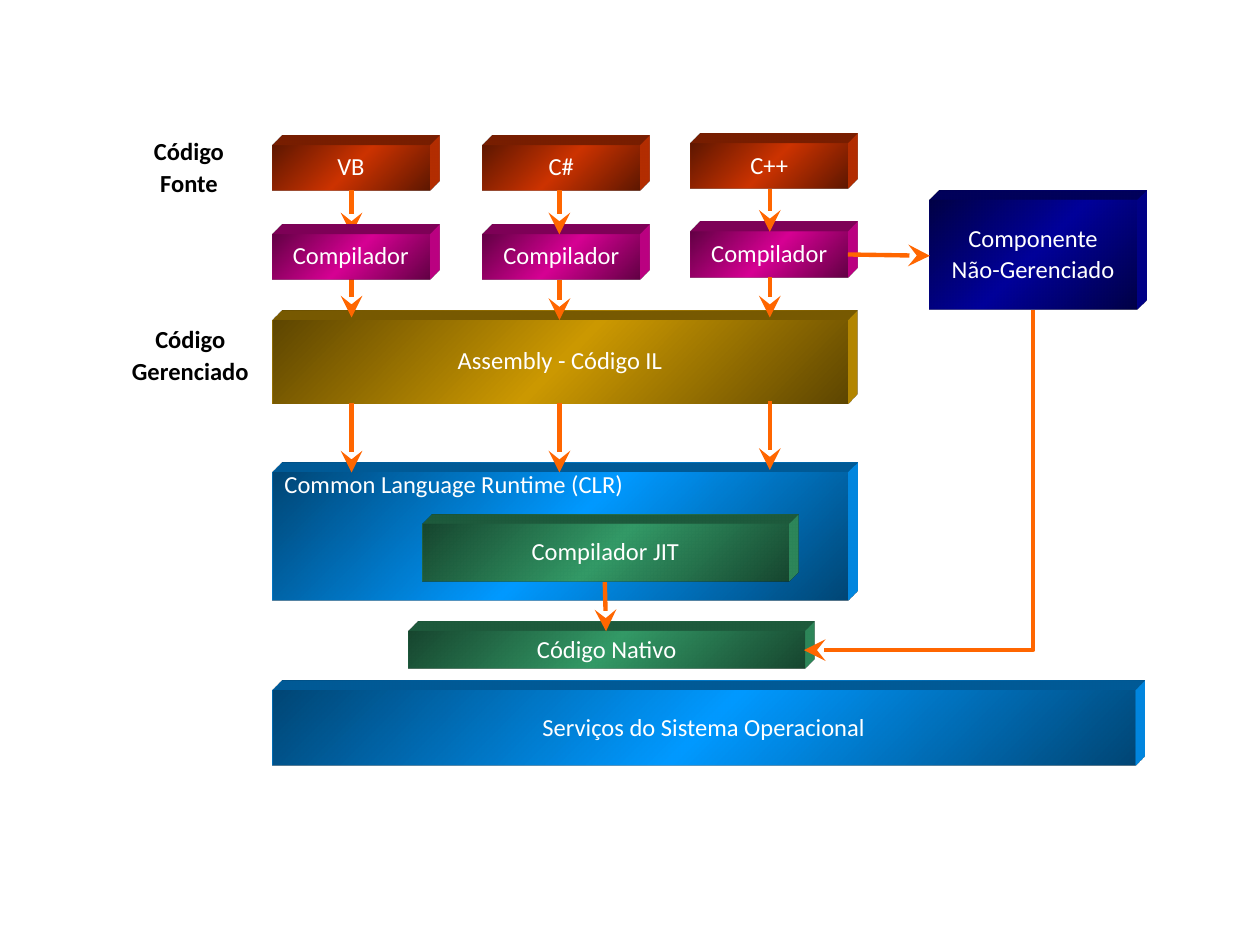
from lxml import etree
from pptx import Presentation
from pptx.dml.color import RGBColor
from pptx.enum.shapes import MSO_CONNECTOR, MSO_SHAPE
from pptx.enum.text import MSO_ANCHOR, PP_ALIGN
from pptx.oxml import parse_xml
from pptx.oxml.ns import nsdecls, qn
from pptx.util import Inches, Pt

LEFT, CENTER = PP_ALIGN.LEFT, PP_ALIGN.CENTER
TOP, MIDDLE = MSO_ANCHOR.TOP, MSO_ANCHOR.MIDDLE
STRAIGHT, ELBOW = MSO_CONNECTOR.STRAIGHT, MSO_CONNECTOR.ELBOW
BOTTOM_SITE, RIGHT_SITE = 2, 3

FONT, ARROW = "Calibri", "FF6600"
RED, PINK, GOLD = "CC3300", "D60093", "CC9900"
BLUE, NAVY, GREEN = "0099FF", "000099", "339966"
SHADE = 0.46

# Grid: left edges and centres of the three language columns
COLUMNS = [2.16, 3.83, 5.48]
CENTERS = [2.79, 4.44, 6.11]
SMALL_WIDTH, SMALL_HEIGHT, WIDE = 1.25, 0.36, 4.57
SOURCES = [("VB", 1.15), ("C#", 1.15), ("C++", 1.14)]
COMPILER_TOPS = [1.86, 1.86, 1.84]


def color(value):
    return RGBColor.from_string(value)


def darker(value):
    parts = [int(value[i:i + 2], 16) for i in (0, 2, 4)]
    return "".join(f"{round(part * SHADE):02X}" for part in parts)


def write(box, text, align=CENTER, anchor=MIDDLE, inset=0, ink="FFFFFF", bold=False):
    frame = box.text_frame
    settings = {"word_wrap": True, "vertical_anchor": anchor,
                "margin_left": Inches(0.1), "margin_right": Inches(0.1),
                "margin_top": Inches(inset), "margin_bottom": Inches(inset)}
    for name, value in settings.items():
        setattr(frame, name, value)
    frame.text = text
    for para in frame.paragraphs:
        for name, value in {"alignment": align, "line_spacing": 0.9,
                            "space_before": Pt(2.8)}.items():
            setattr(para, name, value)
        for span in para.runs:
            for name, value in {"name": FONT, "size": Pt(14), "bold": bold}.items():
                setattr(span.font, name, value)
            span.font.color.rgb = color(ink)


def extrude(box, fill):
    """Give the box its oblique depth toward the top right."""
    properties = box._element.spPr
    properties.append(parse_xml(
        f'<a:scene3d {nsdecls("a")}><a:camera prst="legacyObliqueTopRight"/>'
        '<a:lightRig rig="legacyFlat3" dir="b"/></a:scene3d>'))
    properties.append(parse_xml(
        f'<a:sp3d {nsdecls("a")} extrusionH="201600" prstMaterial="legacyMatte">'
        '<a:bevelT w="13500" h="13500" prst="angle"/>'
        '<a:bevelB w="13500" h="13500" prst="angle"/>'
        f'<a:extrusionClr><a:srgbClr val="{fill}"/></a:extrusionClr></a:sp3d>'))


def add_block(page, text, area, fill, **text_format):
    box = page.shapes.add_shape(MSO_SHAPE.RECTANGLE, *map(Inches, area))
    box.shadow.inherit = False
    box.line.fill.background()
    stops = "".join(
        f'<a:gs pos="{place}"><a:srgbClr val="{value}"/></a:gs>'
        for place, value in ((0, darker(fill)), (50000, fill), (100000, darker(fill))))
    gradient = parse_xml(
        f'<a:gradFill {nsdecls("a")} rotWithShape="0"><a:gsLst>{stops}</a:gsLst>'
        '<a:lin ang="2700000" scaled="1"/></a:gradFill>')
    box._element.spPr.find(qn("a:prstGeom")).addnext(gradient)
    extrude(box, fill)
    write(box, text, **text_format)
    return box


def add_label(page, text, area):
    box = page.shapes.add_textbox(*map(Inches, area))
    write(box, text, anchor=TOP, inset=0.05, ink="000000", bold=True)


def add_arrow(page, start, end, kind=STRAIGHT):
    arrow = page.shapes.add_connector(kind, *map(Inches, start + end))
    arrow.line.color.rgb = color(ARROW)
    arrow.line.width = Pt(2.5)
    etree.SubElement(arrow.line._get_or_add_ln(), qn("a:tailEnd"),
                     type="stealth", w="lg", len="lg")
    etree.SubElement(arrow._element.spPr, qn("a:effectLst"))
    return arrow


def add_corner_arrow(page, source, target, start, end):
    """Run down from the source, then left into the target."""
    arrow = add_arrow(page, start, end, ELBOW)
    arrow.begin_connect(source, BOTTOM_SITE)
    arrow.end_connect(target, RIGHT_SITE)
    arrow._element.spPr.find(qn("a:prstGeom")).set("prst", "bentConnector2")
    # A quarter turn swaps the width and height of the frame
    width, height = end[1] - start[1], start[0] - end[0]
    frame = {"left": (start[0] + end[0] - width) / 2,
             "top": (start[1] + end[1] - height) / 2,
             "width": width, "height": height}
    for name, value in frame.items():
        setattr(arrow, name, Inches(value))
    turn = arrow._element.spPr.find(qn("a:xfrm"))
    turn.flipH = turn.flipV = False
    turn.set("rot", "5400000")


def add_compiler(page, column):
    area = (COLUMNS[column], COMPILER_TOPS[column], SMALL_WIDTH, SMALL_HEIGHT)
    add_block(page, "Compilador", area, PINK)


def main():
    deck = Presentation()
    deck.slide_width, deck.slide_height = Inches(10), Inches(7.5)
    page = deck.slides.add_slide(deck.slide_layouts[6])
    left = COLUMNS[0]

    # Source languages and layers
    for column, (name, top) in zip(COLUMNS, SOURCES):
        add_block(page, name, (column, top, SMALL_WIDTH, SMALL_HEIGHT), RED)
    native = add_block(page, "Código Nativo", (3.24, 5.01, 3.15, 0.3), GREEN)
    add_block(page, "Common Language Runtime (CLR)", (left, 3.75, WIDE, 1.02), BLUE,
              align=LEFT, anchor=TOP)
    component = add_block(page, "Componente\nNão-Gerenciado",
                          (7.38, 1.59, 1.64, 0.87), NAVY)
    for column in (1, 2):
        add_compiler(page, column)
    add_block(page, "Assembly - Código IL", (left, 2.54, WIDE, 0.66), GOLD)
    add_block(page, "Compilador JIT", (3.35, 4.16, 2.91, 0.46), GREEN)
    add_block(page, "Serviços do Sistema Operacional", (left, 5.48, 6.85, 0.6), BLUE)

    # Flow down each column
    spans = [[(1.51, 1.86), (2.2, 2.52), (3.2, 3.75)],
             [(1.51, 1.86), (2.22, 2.54), (3.2, 3.75)],
             [(1.5, 1.84), (2.2, 2.52), (3.18, 3.73)]]
    for center, steps in zip(CENTERS, spans):
        for top, bottom in steps:
            add_arrow(page, (center, top), (center, bottom))

    # Unmanaged route and native output
    add_arrow(page, (6.73, 2.02), (7.38, 2.03))
    add_corner_arrow(page, component, native, (8.2, 2.46), (6.38, 5.16))
    add_arrow(page, (4.8, 4.62), (4.81, 5.01))

    # Row labels, then the first compiler over its arrow tip
    add_label(page, "Código\nFonte", (1.06, 1.06, 0.88, 0.57))
    add_label(page, "Código\nGerenciado", (0.87, 2.55, 1.28, 0.57))
    add_compiler(page, 0)

    deck.save("out.pptx")


main()
